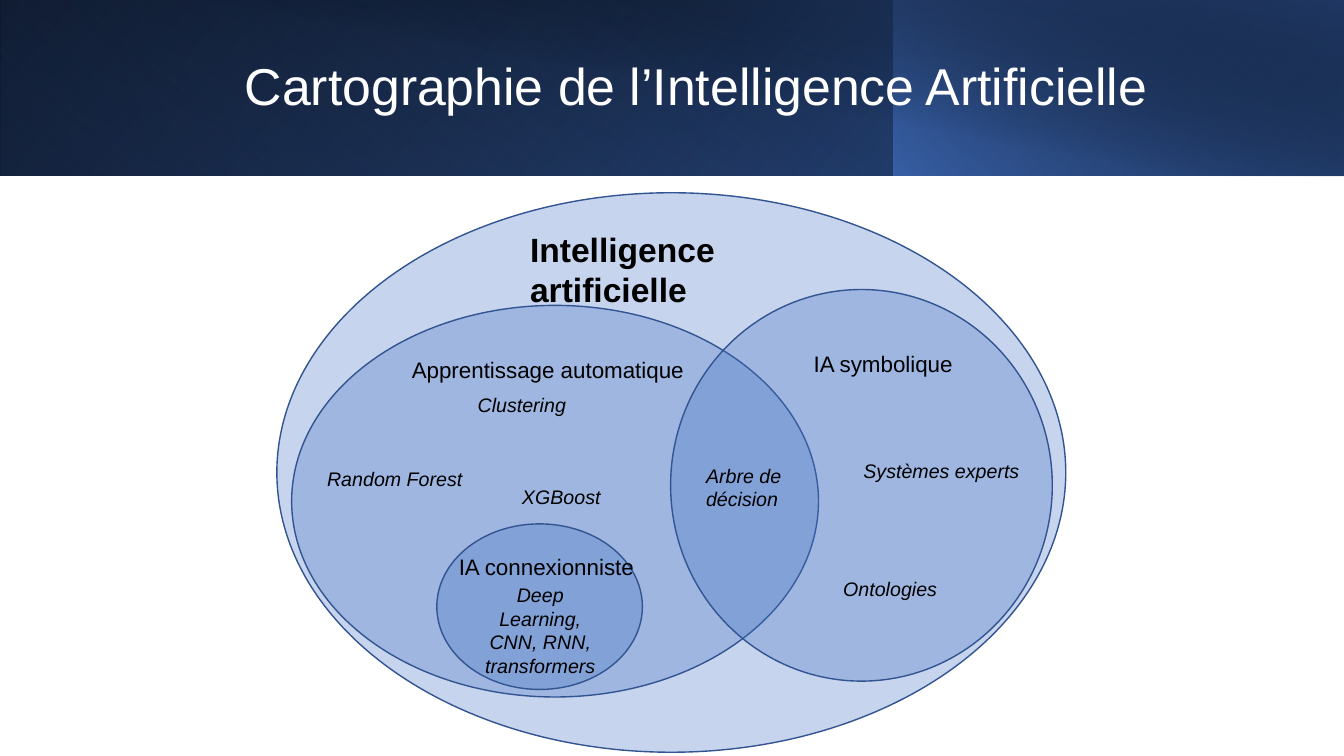
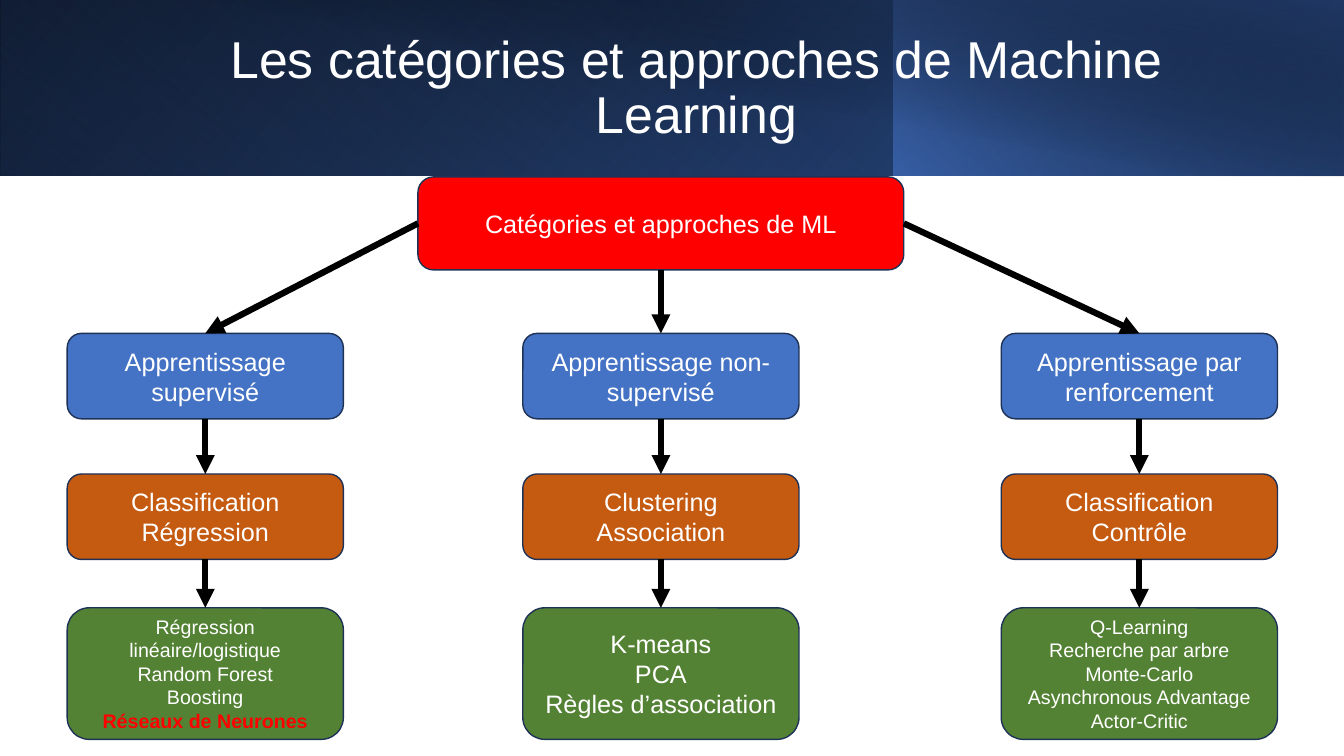
from dataclasses import dataclass

import pptx
import pptx.dml.color
import pptx.enum.shapes
import pptx.enum.text
import pptx.oxml
import pptx.oxml.ns
import pptx.util

# Shared look: lengths are percentages of the slide's width and height
WIDE, HIGH = 13.333, 7.5
FONT = "Arial"
WHITE, BLACK, RED = "FFFFFF", "000000", "FF0000"
BLUE, NAVY, ORANGE, GREEN = "4472C4", "203864", "C55A11", "548235"
RIM, EDGE = "325491", "1E3256"
KIND = pptx.enum.shapes.MSO_SHAPE
ALIGN = pptx.enum.text.PP_ALIGN
ANCHOR = pptx.enum.text.MSO_ANCHOR
qn = pptx.oxml.ns.qn


@dataclass
class Area:
    x: float
    y: float
    w: float
    h: float

    def emu(self) -> list[int]:
        return [across(self.x), down(self.y), across(self.w), down(self.h)]


@dataclass
class Stop:
    place: float
    color: str
    alpha: int = 100


@dataclass
class Band:
    area: Area
    stops: tuple[Stop, Stop]
    angle: int
    flip: bool = True
    turn: int = 0


@dataclass
class Label:
    text: str
    x: float
    y: float
    w: float = 26.3
    size: int = 14
    rows: int = 1
    bold: bool = False
    italic: bool = True
    align: ALIGN = ALIGN.LEFT


@dataclass
class Branch:
    x: float
    kind: str
    tasks: str
    tools: str
    size: int = 14
    hot: str = ""


BANDS = [
    Band(Area(0, 0, 100, 23.2), (Stop(0, BLACK), Stop(1, "2F5597")), 140),
    Band(Area(0, 0, 66.6, 23.2), (Stop(0.2, BLUE, 0), Stop(1, NAVY, 55)), 230, turn=180),
    Band(Area(66.5, 0, 33.5, 23.2), (Stop(0, BLUE, 66), Stop(1, BLACK, 30)), 220),
    Band(Area(3.75, 0, 96.25, 23.3), (Stop(0.5, BLACK, 0), Stop(0.99, NAVY, 52)), 280, flip=False),
]

OVALS = [
    Area(20.6, 25.5, 58.7, 74),
    Area(21.7, 40.4, 39.2, 51.8),
    Area(49.9, 38.3, 28.4, 51.8),
    Area(32.5, 69.3, 15.3, 21.9),
]

LABELS = [
    Label("Intelligence artificielle", 38.7, 29.6, size=24, bold=True, italic=False),
    Label("Apprentissage automatique", 29.9, 46.4, 22.9, 16, italic=False),
    Label("IA connexionniste", 33.4, 72.5, size=16, italic=False),
    Label("IA symbolique", 59.8, 45.6, size=16, italic=False),
    Label("Random Forest", 23.6, 61.1),
    Label("Arbre de\ndécision", 51.8, 60.7, 19.7, rows=2),
    Label("Clustering", 34.8, 51.3),
    Label("Systèmes experts", 63.5, 60.1),
    Label("Ontologies", 62, 75.6),
    Label("Deep Learning, CNN, RNN, transformers", 35.2, 76.5, 10, rows=4, align=ALIGN.CENTER),
    Label("XGBoost", 38.1, 63.5),
]

BRANCHES = [
    Branch(5, "Apprentissage supervisé", "Classification\nRégression",
           "Régression linéaire/logistique\nRandom Forest\nBoosting\nRéseaux de Neurones",
           hot="Réseaux de Neurones"),
    Branch(38.9, "Apprentissage non-supervisé", "Clustering\nAssociation",
           "K-means\nPCA\nRègles d’association", 18),
    Branch(74.5, "Apprentissage par renforcement", "Classification\nContrôle",
           "Q-Learning\nRecherche par arbre Monte-Carlo\nAsynchronous Advantage Actor-Critic"),
]

# Connection sites of a box
TOP, LEFT, BOTTOM, RIGHT = range(4)


def across(share: float) -> int:
    return pptx.util.Inches(WIDE * share / 100)


def down(share: float) -> int:
    return pptx.util.Inches(HIGH * share / 100)


def tint(code: str) -> pptx.dml.color.RGBColor:
    return pptx.dml.color.RGBColor.from_string(code)


def fade(shape, *alphas: int) -> None:
    """Give the fill colours, in order, their opacity in percent."""
    for color, alpha in zip(shape._element.spPr.iter(qn("a:srgbClr")), alphas):
        color.append(pptx.oxml.parse_xml(
            f'<a:alpha {pptx.oxml.ns.nsdecls("a")} val="{alpha * 1000}"/>'))


def write(frame, text: str, size: int, color: str, align: ALIGN,
          bold: bool = False, italic: bool = False) -> None:
    frame.word_wrap = True
    for n, line in enumerate(text.split("\n")):
        para = frame.add_paragraph() if n else frame.paragraphs[0]
        para.text = line
        para.alignment = align
        font = para.font
        font.name, font.size = FONT, pptx.util.Pt(size)
        font.bold, font.italic = bold, italic
        font.color.rgb = tint(color)


def draw(slide, kind: KIND, area: Area, fill: str, line: str):
    shape = slide.shapes.add_shape(kind, *area.emu())
    shape.shadow.inherit = False
    shape.fill.solid()
    shape.fill.fore_color.rgb = tint(fill)
    shape.line.color.rgb = tint(line)
    shape.line.width = pptx.util.Pt(1)
    return shape


def stripe(slide, band: Band) -> None:
    shape = slide.shapes.add_shape(KIND.RECTANGLE, *band.area.emu())
    shape.shadow.inherit = False
    shape.line.fill.background()
    shape.fill.gradient()
    shape.fill.gradient_angle = 360 - band.angle
    for stop, want in zip(shape.fill.gradient_stops, band.stops):
        stop.color.rgb = tint(want.color)
        stop.position = want.place
    fade(shape, *(stop.alpha for stop in band.stops))
    shape.rotation = band.turn
    if band.flip:
        shape._element.spPr.xfrm.set("flipH", "1")


def start(deck, title: str):
    """Add a blank slide with the header bands and its title."""
    slide = deck.slides.add_slide(deck.slide_layouts[6])
    for band in BANDS:
        stripe(slide, band)
    frame = slide.shapes.add_textbox(*Area(11.25, 4.3, 81.15, 15).emu()).text_frame
    frame.vertical_anchor = ANCHOR.MIDDLE
    write(frame, title, 37, WHITE, ALIGN.CENTER)
    frame.paragraphs[0].line_spacing = 0.9
    return slide


def note(slide, label: Label) -> None:
    tall = (label.rows * label.size * 1.2 / 72 + 0.1) / HIGH * 100
    box = slide.shapes.add_textbox(*Area(label.x, label.y, label.w, tall).emu())
    write(box.text_frame, label.text, label.size, BLACK, label.align, label.bold, label.italic)


def node(slide, area: Area, text: str, fill: str, size: int = 18):
    shape = draw(slide, KIND.ROUNDED_RECTANGLE, area, fill, EDGE)
    shape.text_frame.vertical_anchor = ANCHOR.MIDDLE
    write(shape.text_frame, text, size, WHITE, ALIGN.CENTER)
    return shape


def link(slide, head, site: int, foot) -> None:
    line = slide.shapes.add_connector(pptx.enum.shapes.MSO_CONNECTOR.STRAIGHT, 0, 0, 0, 0)
    line.begin_connect(head, site)
    line.end_connect(foot, TOP)
    line.line.color.rgb = tint(BLACK)
    line.line.width = pptx.util.Pt(4.5)
    space = pptx.oxml.ns.nsdecls("a")
    line.line._get_or_add_ln().append(
        pptx.oxml.parse_xml(f'<a:tailEnd {space} type="triangle"/>'))
    line._element.spPr.append(pptx.oxml.parse_xml(f"<a:effectLst {space}/>"))


def chart_map(deck) -> None:
    slide = start(deck, "Cartographie de l’Intelligence Artificielle")
    for area in OVALS:
        fade(draw(slide, KIND.OVAL, area, BLUE, RIM), 30)
    for label in LABELS:
        note(slide, label)


def chart_tree(deck) -> None:
    slide = start(deck, "Les catégories et approches de Machine Learning")
    root = node(slide, Area(31.1, 23.4, 36.15, 12.3), "Catégories et approches de ML", RED)
    for branch, site in zip(BRANCHES, (LEFT, BOTTOM, RIGHT)):
        rows = [
            (44.1, 11.3, branch.kind, BLUE, 18),
            (62.7, 11.3, branch.tasks, ORANGE, 18),
            (80.4, 17.4, branch.tools, GREEN, branch.size),
        ]
        head = root
        for y, h, text, fill, size in rows:
            foot = node(slide, Area(branch.x, y, 20.55, h), text, fill, size)
            link(slide, head, site, foot)
            head, site = foot, BOTTOM
        # Highlighted method
        for para in head.text_frame.paragraphs:
            if para.text == branch.hot:
                para.font.bold = True
                para.font.color.rgb = tint(RED)


def main() -> None:
    deck = pptx.Presentation()
    deck.slide_width, deck.slide_height = across(100), down(100)
    chart_map(deck)
    chart_tree(deck)
    deck.save("out.pptx")


if __name__ == "__main__":
    main()
